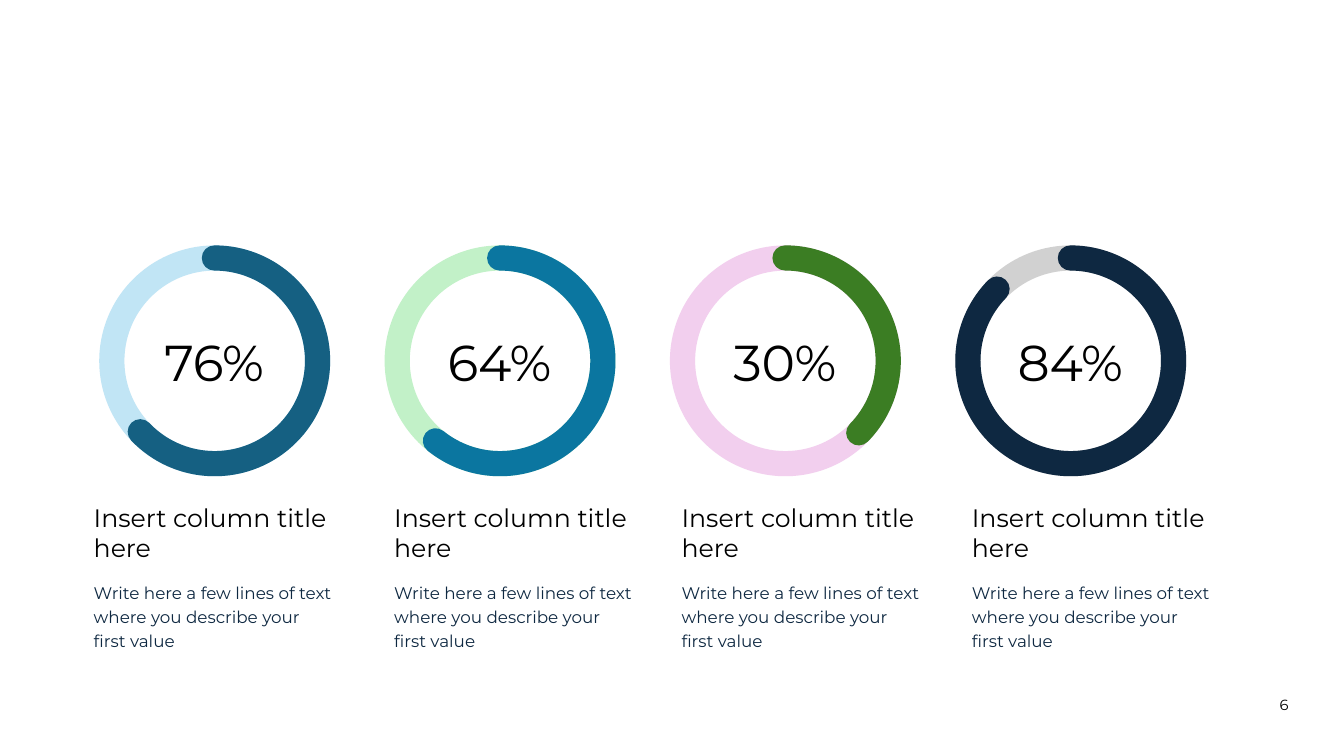
import dataclasses
import typing

import pptx
import pptx.dml.color
import pptx.enum.shapes
import pptx.enum.text
import pptx.oxml.ns
import pptx.util

Inches = pptx.util.Inches
RGB = pptx.dml.color.RGBColor
Shape = pptx.enum.shapes.MSO_SHAPE
Align = pptx.enum.text.PP_ALIGN
Anchor = pptx.enum.text.MSO_ANCHOR
Fit = pptx.enum.text.MSO_AUTO_SIZE

BLACK = RGB(0x00, 0x00, 0x00)
NAVY = RGB(0x0E, 0x28, 0x41)
SKY = RGB(0xC1, 0xE5, 0xF5)
TEAL = RGB(0x15, 0x60, 0x82)
MINT = RGB(0xC2, 0xF1, 0xC8)
BLUE = RGB(0x0B, 0x76, 0xA0)
PINK = RGB(0xF2, 0xCF, 0xEE)
GREEN = RGB(0x3B, 0x7D, 0x23)
GREY = RGB(0xD1, 0xD1, 0xD1)

FACE = "Montserrat"
TITLE = "Insert column title here"
BODY = "Write here a few lines of text where you describe your first value"

# Ring layout in inches
LEFT, STEP, TOP, SIZE = 1.11, 2.83, 2.56, 2.04
TOP_END = 162.12


@dataclasses.dataclass
class Column:
    value: str
    sweep: float
    track: RGB
    color: RGB
    left: float


@dataclasses.dataclass
class Style:
    size: float
    color: RGB
    frame: dict[str, typing.Any]
    para: dict[str, typing.Any]
    inset: typing.Optional[float] = None
    track: int = 0


COLUMNS = [
    Column("76%", 26.17, SKY, TEAL, 0.9),
    Column("64%", 30.66, MINT, BLUE, 3.88),
    Column("30%", 81.31, PINK, GREEN, 6.73),
    Column("84%", 189.45, GREY, NAVY, 9.61),
]

GROW = {"auto_size": Fit.SHAPE_TO_FIT_TEXT}
VALUE = Style(36, BLACK, {"vertical_anchor": Anchor.MIDDLE},
              {"alignment": Align.CENTER, "line_spacing": 0.9}, track=-20)
HEAD = Style(18, BLACK, GROW, {}, 0.03)
NOTE = Style(12, NAVY, GROW, {"line_spacing": 1.2}, 0.03)
PAGE = Style(10.5, BLACK, {}, {"alignment": Align.CENTER}, 0)


def apply(target: typing.Any, values: dict[str, typing.Any]) -> None:
    for name, value in values.items():
        setattr(target, name, value)


def write(slide, text: str, x: float, y: float, w: float, h: float,
          style: Style) -> None:
    box = slide.shapes.add_textbox(Inches(x), Inches(y), Inches(w), Inches(h))
    frame = box.text_frame
    apply(frame, {"word_wrap": True, **style.frame})
    if style.inset is not None:
        for side in ("left", "top", "right", "bottom"):
            setattr(frame, f"margin_{side}", Inches(style.inset))
    para = frame.paragraphs[0]
    apply(para, style.para)
    run = para.add_run()
    run.text = text
    apply(run.font, {"name": FACE, "size": pptx.util.Pt(style.size)})
    run.font.color.rgb = style.color
    if style.track:
        run.font._element.set("spc", str(style.track))


def ring(slide, kind: Shape, x: float, color: RGB):
    shape = slide.shapes.add_shape(
        kind, Inches(x), Inches(TOP), Inches(SIZE), Inches(SIZE))
    shape.shadow.inherit = False
    shape.fill.background()
    shape.line.color.rgb = color
    shape.line.width = pptx.util.Pt(18)
    # Mirrored, so that the arc runs clockwise from the top
    shape.element.spPr.find(pptx.oxml.ns.qn("a:xfrm")).set("flipH", "1")
    return shape


def gauge(slide, x: float, col: Column) -> None:
    ring(slide, Shape.OVAL, x, col.track)
    arc = ring(slide, Shape.ARC, x, col.color)
    arc.adjustments[0] = col.sweep
    arc.adjustments[1] = TOP_END
    # Round line ends
    arc.element.spPr.find(pptx.oxml.ns.qn("a:ln")).set("cap", "rnd")


def main() -> None:
    deck = pptx.Presentation()
    apply(deck, {"slide_width": Inches(13.33), "slide_height": Inches(7.5)})
    slide = deck.slides.add_slide(deck.slide_layouts[6])

    # Gauges with their values and captions
    for i, col in enumerate(COLUMNS):
        x = LEFT + i * STEP
        gauge(slide, x, col)
        write(slide, col.value, x + 0.21, 3.11, 1.61, 1.02, VALUE)
        write(slide, TITLE, col.left, 4.95, 2.44, 0.66, HEAD)
        write(slide, BODY, col.left, 5.71, 2.44, 0.76, NOTE)

    # Page number
    write(slide, "6", 12.41, 6.9, 0.65, 0.29, PAGE)
    deck.save("out.pptx")


if __name__ == "__main__":
    main()
